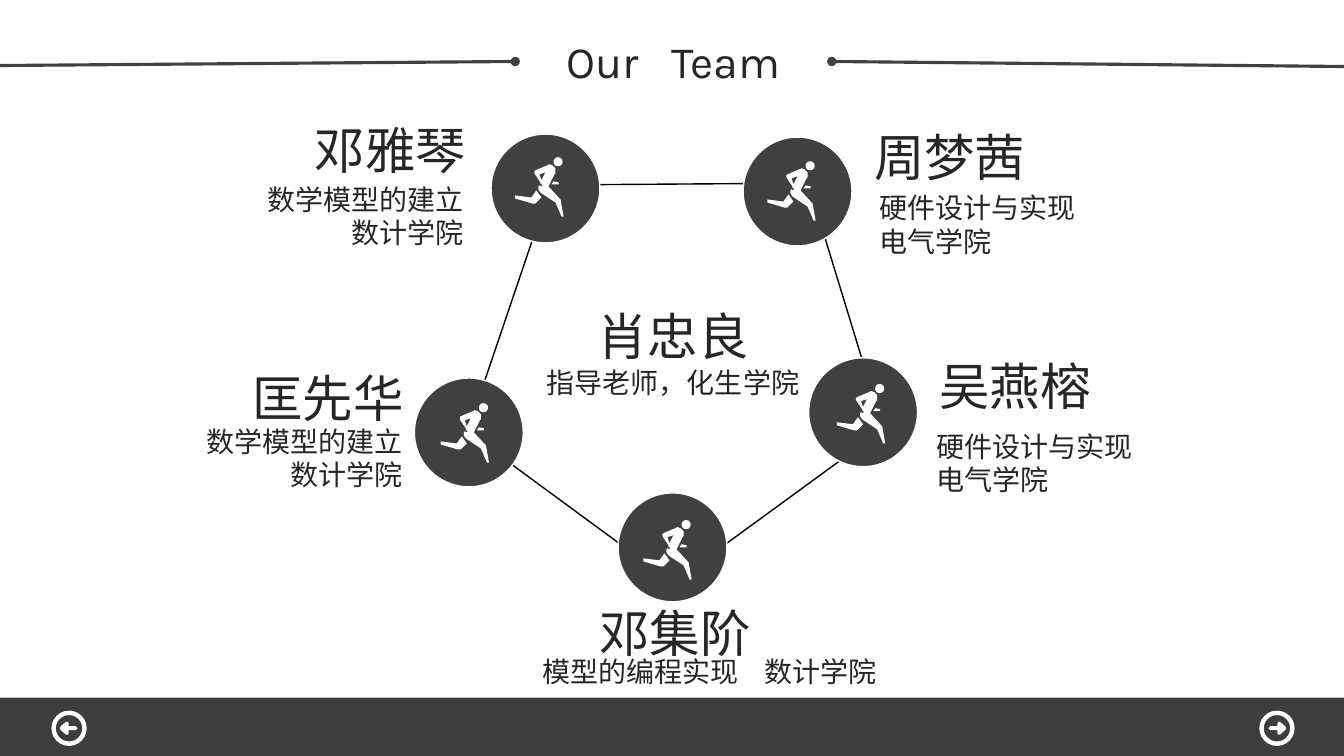
from math import cos, pi, sin

from lxml.etree import SubElement
from pptx import Presentation
from pptx.dml.color import RGBColor
from pptx.enum.shapes import MSO_CONNECTOR, MSO_SHAPE
from pptx.enum.text import MSO_AUTO_SIZE, PP_ALIGN
from pptx.oxml.ns import qn
from pptx.util import Inches, Pt

COLORS = {"text": "262626", "dark": "404040", "bar": "0D0D0D",
          "white": "FFFFFF", "black": "000000"}
CHINESE = "Noto Sans CJK SC"
LEFT, CENTER, RIGHT = PP_ALIGN.LEFT, PP_ALIGN.CENTER, PP_ALIGN.RIGHT

deck = Presentation()
deck.slide_width, deck.slide_height = Inches(13.33), Inches(7.5)
page = deck.slides.add_slide(deck.slide_layouts[6])


def paint(shape, fill=None, line=None):
    shape.shadow.inherit = False
    for part, color in ((shape.fill, fill), (shape.line.fill, line)):
        if color:
            part.solid()
            part.fore_color.rgb = RGBColor.from_string(COLORS[color])
        else:
            part.background()
    if line:
        shape.line.width = Pt(1)
    return shape


def write(place, lines, align, font=CHINESE, gap=0, wrap=True):
    """Add a text box; gap widens the first space of a line, in 1/100 pt."""
    box = page.shapes.add_textbox(*map(Inches, place))
    frame = box.text_frame
    frame.word_wrap = wrap
    frame.auto_size = MSO_AUTO_SIZE.SHAPE_TO_FIT_TEXT
    for index, (text, size) in enumerate(lines):
        para = frame.add_paragraph() if index else frame.paragraphs[0]
        para.alignment = align
        for piece in filter(None, text.partition(" ")):
            span = para.add_run()
            span.text = piece
            for name, value in {"size": Pt(size), "name": font}.items():
                setattr(span.font, name, value)
            span.font.color.rgb = RGBColor.from_string(COLORS["text"])
            properties = span._r.get_or_add_rPr()
            SubElement(properties, qn("a:ea")).set("typeface", font)
            if piece == " ":
                properties.set("spc", str(gap))


# Footer bar and title
bar = paint(page.shapes.add_shape(
    MSO_SHAPE.RECTANGLE, Inches(0), Inches(6.92), Inches(13.33), Inches(0.59)), "bar")
bar_color = bar._element.spPr.find(qn("a:solidFill"))[0]
SubElement(bar_color, qn("a:alpha")).set("val", "80000")

write((3.73, 0.29, 5.9, 0.64), [("Our Team", 32)], CENTER, font="Karla", gap=1540)
for start_x, start_y, end_x in ((0, 0.65, 5.11), (13.33, 0.66, 8.25)):
    rule = page.shapes.add_connector(
        MSO_CONNECTOR.STRAIGHT, Inches(start_x), Inches(start_y), Inches(end_x), Inches(0.61))
    rule.line.width = Pt(2.25)
    rule.line.color.rgb = RGBColor.from_string(COLORS["dark"])
    SubElement(rule.line._get_or_add_ln(), qn("a:tailEnd")).set("type", "oval")
    SubElement(rule._element.spPr, qn("a:effectLst"))

# Pentagon with a runner badge at each corner
pentagon = paint(page.shapes.add_shape(
    MSO_SHAPE.REGULAR_PENTAGON, Inches(4.79), Inches(1.43), Inches(4.09), Inches(3.99)),
    line="black")
pentagon.rotation = 36.3

# Outline points in hundredths of an inch
RUNNER = [
    [(38, 24), (43, 25), (43, 27), (36, 27)],
    [(16, 40), (21, 33), (26, 40), (20, 46), (17, 46), (0, 41), (0, 38)],
    [(26, 23), (30, 15), (24, 17)],
    [(40, 16), (39, 17), (33, 29), (44, 41), (45, 42), (48, 59), (46, 59), (40, 45),
     (37, 43), (25, 35), (23, 32), (23, 29), (24, 28), (26, 29), (27, 28), (25, 26),
     (25, 25), (19, 16), (19, 14), (20, 13), (32, 8), (34, 7), (37, 8), (40, 11)],
    [(42.5 + 4.5 * cos(step * pi / 12), 4.5 + 4.5 * sin(step * pi / 12))
     for step in range(24)],
]
badges = [  # badge left and top, runner left and top
    (4.87, 1.33, 5.11, 1.56),
    (7.37, 1.36, 7.61, 1.6),
    (8.02, 3.55, 8.3, 3.81),
    (6.13, 4.89, 6.38, 5.16),
    (4.11, 3.75, 4.37, 4),
]
for badge_x, badge_y, runner_x, runner_y in badges:
    paint(page.shapes.add_shape(
        MSO_SHAPE.OVAL, Inches(badge_x), Inches(badge_y), Inches(1.08), Inches(1.08)),
        "dark", "white")
    builder = page.shapes.build_freeform(scale=Inches(0.001))
    for outline in RUNNER:
        points = [(x * 10, y * 10) for x, y in outline]
        builder.move_to(*points[0])
        builder.add_line_segments(points[1:])
    paint(builder.convert_to_shape(Inches(runner_x), Inches(runner_y)), "white")

# Names and roles
MODEL = ["数学模型的建立", "数计学院"]
HARDWARE = ["硬件设计与实现", "电气学院"]
members = [
    ("邓雅琴", (2.48, 1.13, 2.24, 0.71), MODEL, (2.01, 1.76, 2.69, 0.77), RIGHT, RIGHT),
    ("匡先华", (1.14, 3.59, 2.96, 0.71), MODEL, (1.17, 4.16, 2.92, 0.77), RIGHT, RIGHT),
    ("周梦茜", (8.57, 1.2, 2.69, 0.71), HARDWARE, (8.62, 1.84, 2.69, 0.77), LEFT, LEFT),
    ("吴燕榕", (9.22, 3.47, 2.69, 0.71), HARDWARE, (9.19, 4.21, 2.69, 0.77), LEFT, LEFT),
    ("邓集阶", (4.64, 5.92, 4.11, 0.71), ["模型的编程实现 数计学院"],
     (4.89, 6.44, 3.9, 0.44), CENTER, RIGHT),
]
for name, name_place, role, role_place, name_align, role_align in members:
    write(role_place, [(line, 20) for line in role], role_align, gap=1340)
    write(name_place, [(name, 36)], name_align)
write((5.31, 2.98, 2.73, 1.04), [("肖忠良", 36), ("指导老师，化生学院", 20)], CENTER, wrap=False)

# Navigation arrows: points in 1/200 inch from the ring's centre
ARROW = [(17, -3), (18, 0), (17, 3), (7, 12), (3, 13), (1, 10), (1, 4), (-13, 4),
         (-17, 0), (-13, -4), (1, -4), (1, -10), (3, -13), (7, -12)]
for ring_x, direction in ((0.51, -1), (12.49, 1)):
    ring = paint(page.shapes.add_shape(
        MSO_SHAPE.DONUT, Inches(ring_x), Inches(7.05), Inches(0.35), Inches(0.35)), "white")
    ring.adjustments[0] = 0.125
    points = [(x * direction, y) for x, y in ARROW]
    builder = page.shapes.build_freeform(*points[0], scale=Inches(0.005))
    builder.add_line_segments(points[1:])
    paint(builder.convert_to_shape(Inches(ring_x + 0.175), Inches(7.225)), "white")

deck.save("out.pptx")
